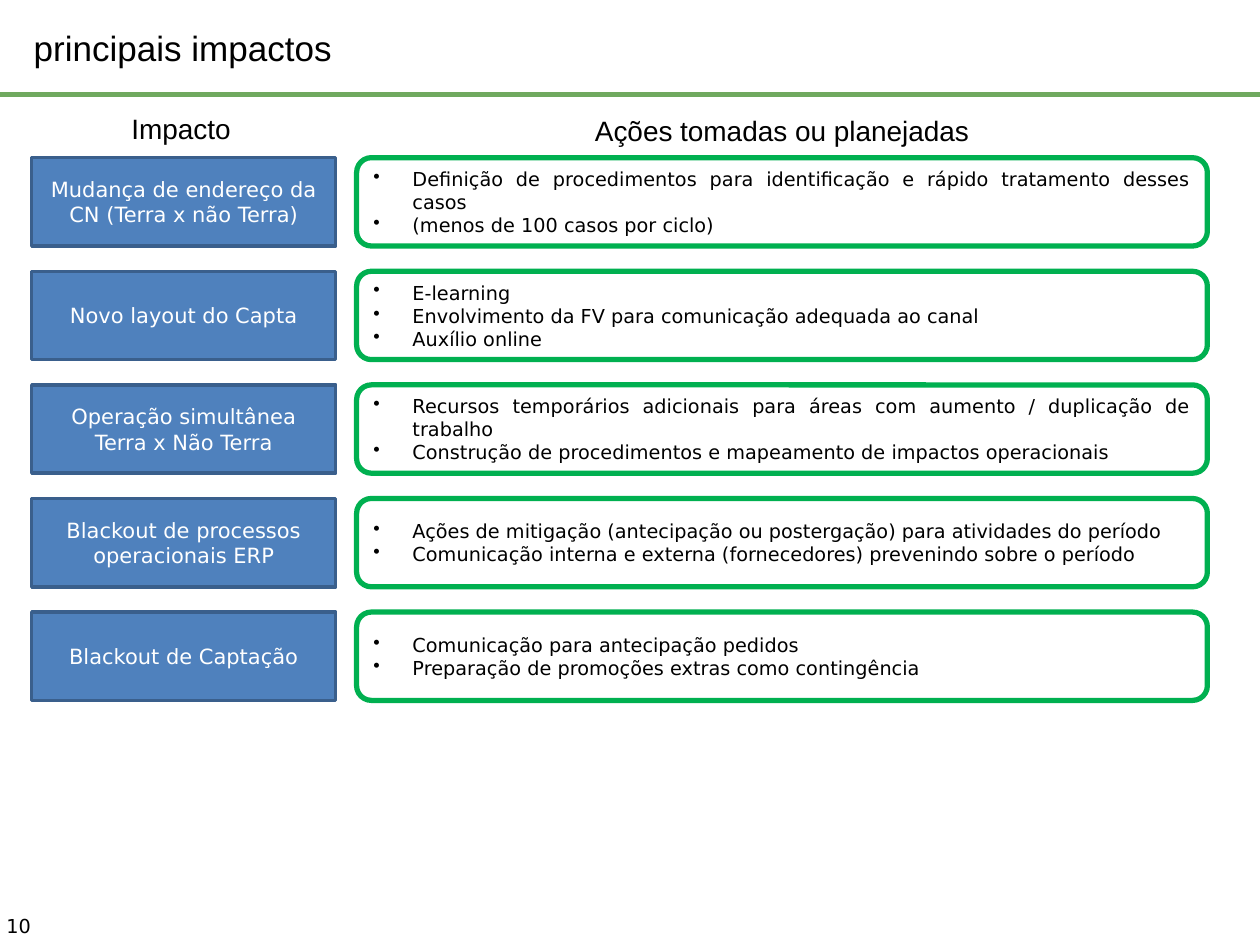
import pptx
import pptx.util
import pptx.dml.color
import pptx.enum.shapes
import pptx.enum.text
import pptx.oxml.ns
from lxml import etree

Cm, Pt = pptx.util.Cm, pptx.util.Pt
SHAPE = pptx.enum.shapes.MSO_SHAPE
ALIGN = pptx.enum.text.PP_ALIGN
ANCHOR = pptx.enum.text.MSO_ANCHOR
qn = pptx.oxml.ns.qn


def color(hex_code):
    return pptx.dml.color.RGBColor.from_string(hex_code)


class SlideBuilder:
    HEADING_FONT = "Arial"
    BODY_FONT = "DejaVu Sans"
    BLACK, WHITE = "000000", "FFFFFF"
    RULE, GREEN = "70A95F", "00B050"
    BLUE, DARK_BLUE = "4F81BD", "3A5F8C"
    BULLET_INDENT = Cm(0.79)

    def __init__(self, slide):
        self.slide = slide

    def rule(self, y, width):
        line = self.slide.shapes.add_connector(
            pptx.enum.shapes.MSO_CONNECTOR.STRAIGHT, Cm(0), Cm(y), Cm(width), Cm(y))
        line.line.color.rgb = color(self.RULE)
        line.line.width = Pt(3)
        etree.SubElement(line._element.spPr, qn("a:effectLst"))

    def add_lines(self, frame, lines, size, font, ink, align, bullets=False):
        frame.word_wrap = True
        for index, line in enumerate(lines):
            paragraph = frame.paragraphs[0] if index == 0 else frame.add_paragraph()
            paragraph.alignment = align
            if bullets:
                properties = paragraph._p.get_or_add_pPr()
                properties.set("marL", str(self.BULLET_INDENT))
                properties.set("indent", str(-self.BULLET_INDENT))
                etree.SubElement(properties, qn("a:buChar"), char="•")
            run = paragraph.add_run()
            run.text = line
            run.font.size = Pt(size)
            run.font.name = font
            run.font.color.rgb = color(ink)

    def label(self, box, text, size, font, align=ALIGN.LEFT, anchor=ANCHOR.TOP, inset=None):
        frame = self.slide.shapes.add_textbox(*map(Cm, box)).text_frame
        frame.vertical_anchor = anchor
        if inset is not None:
            frame.margin_left = frame.margin_right = Cm(inset)
            frame.margin_top = frame.margin_bottom = Cm(inset)
        self.add_lines(frame, [text], size, font, self.BLACK, align)

    def panel(self, preset, box, fill, outline, width):
        shape = self.slide.shapes.add_shape(preset, *map(Cm, box))
        shape.shadow.inherit = False
        shape.fill.solid()
        shape.fill.fore_color.rgb = color(fill)
        shape.line.color.rgb = color(outline)
        shape.line.width = Pt(width)
        shape.text_frame.vertical_anchor = ANCHOR.MIDDLE
        return shape.text_frame

    def impact(self, box, text):
        frame = self.panel(SHAPE.RECTANGLE, box, self.BLUE, self.DARK_BLUE, 2)
        self.add_lines(frame, [text], 12, self.BODY_FONT, self.WHITE, ALIGN.CENTER)

    def actions(self, box, items):
        frame = self.panel(SHAPE.ROUNDED_RECTANGLE, box, self.WHITE, self.GREEN, 3)
        self.add_lines(frame, items, 11, self.BODY_FONT, self.BLACK, ALIGN.JUSTIFY, bullets=True)


IMPACTS = [
    ("Mudança de endereço da CN (Terra x não Terra)",
     ["Definição de procedimentos para identificação e rápido tratamento desses casos",
      "(menos de 100 casos por ciclo)"]),
    ("Novo layout do Capta",
     ["E-learning",
      "Envolvimento da FV para comunicação adequada ao canal",
      "Auxílio online"]),
    ("Operação simultânea Terra x Não Terra",
     ["Recursos temporários adicionais para áreas com aumento / duplicação de trabalho",
      "Construção de procedimentos e mapeamento de impactos operacionais"]),
    ("Blackout de processos operacionais ERP",
     ["Ações de mitigação (antecipação ou postergação) para atividades do período",
      "Comunicação interna e externa (fornecedores) prevenindo sobre o período"]),
    ("Blackout de Captação",
     ["Comunicação para antecipação pedidos",
      "Preparação de promoções extras como contingência"]),
]
FIRST_ROW, ROW_PITCH, ROW_HEIGHT = 3.18, 2.29, 1.78
IMPACT_LEFT, IMPACT_WIDTH = 0.64, 6.13
ACTIONS_LEFT, ACTIONS_WIDTH = 7.19, 17.15


def main():
    presentation = pptx.Presentation()
    presentation.slide_width, presentation.slide_height = Cm(25.4), Cm(19.05)
    builder = SlideBuilder(presentation.slides.add_slide(presentation.slide_layouts[6]))

    # Rule, page number and title
    builder.rule(1.9, 25.4)
    builder.label((0, 18.31, 1.27, 0.74), "10", 11, builder.BODY_FONT, inset=0.13)
    builder.label((0.43, 0, 24.13, 1.93), "principais impactos", 20,
                  builder.HEADING_FONT, anchor=ANCHOR.MIDDLE)

    # Column headings
    builder.label((2.34, 2.13, 2.62, 0.94), "Impacto", 16,
                  builder.HEADING_FONT, ALIGN.CENTER)
    builder.label((ACTIONS_LEFT, 2.16, ACTIONS_WIDTH, 0.94), "Ações tomadas ou planejadas",
                  16, builder.HEADING_FONT, ALIGN.CENTER)

    # One row per impact
    for row, (impact, actions) in enumerate(IMPACTS):
        top = FIRST_ROW + row * ROW_PITCH
        builder.impact((IMPACT_LEFT, top, IMPACT_WIDTH, ROW_HEIGHT), impact)
        builder.actions((ACTIONS_LEFT, top, ACTIONS_WIDTH, ROW_HEIGHT), actions)

    presentation.save("out.pptx")


if __name__ == "__main__":
    main()
